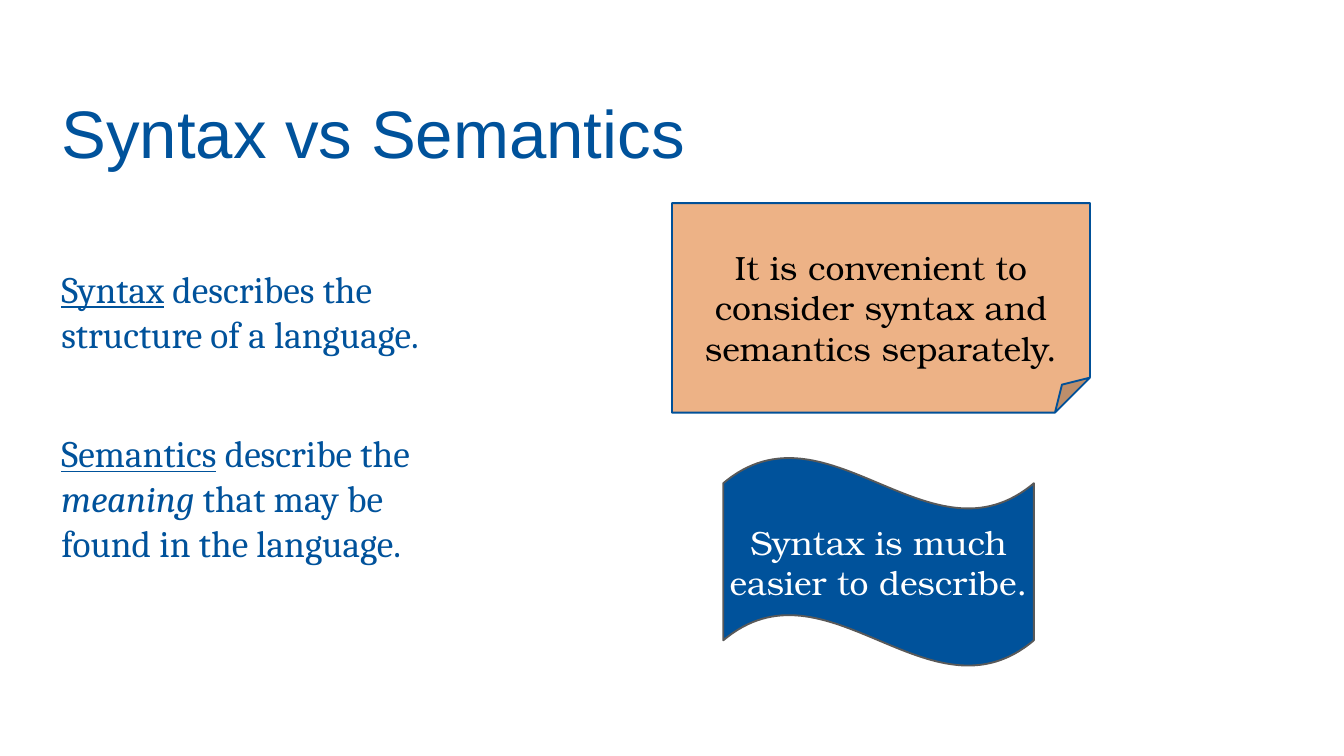
from pptx import Presentation
from pptx.dml.color import RGBColor
from pptx.enum.shapes import MSO_SHAPE
from pptx.enum.text import MSO_ANCHOR, PP_ALIGN
from pptx.util import Cm, Pt

BLUE = "00529B"


def colour(value):
    return RGBColor.from_string(value)


def set_frame(shape, margins, anchor):
    frame = shape.text_frame
    frame.word_wrap = True
    frame.vertical_anchor = anchor
    frame.margin_left, frame.margin_top, frame.margin_right, frame.margin_bottom = map(Cm, margins)
    return frame


def style(font, name, size, value):
    font.name = name
    font.size = Pt(size)
    font.color.rgb = colour(value)


def add_title(page, box, text):
    shape = page.shapes.add_textbox(*map(Cm, box))
    frame = set_frame(shape, (0.25, 0.28, 0.25, 0), MSO_ANCHOR.TOP)
    frame.text = text
    style(frame.paragraphs[0].runs[0].font, "Arial", 36, BLUE)


def add_definitions(page, box, definitions):
    shape = page.shapes.add_textbox(*map(Cm, box))
    frame = set_frame(shape, (0.25, 1.25, 0.76, 0), MSO_ANCHOR.TOP)
    for index, pieces in enumerate(definitions):
        para = frame.add_paragraph() if index else frame.paragraphs[0]
        if index:
            para.space_before = Pt(40)
        for text, emphasis in pieces:
            span = para.add_run()
            span.text = text
            style(span.font, "Cambria", 20, BLUE)
            span.font.underline = emphasis == "underline"
            span.font.italic = emphasis == "italic"


def add_callout(page, box, kind, text, margins, fill, line, ink):
    shape = page.shapes.add_shape(kind, *map(Cm, box))
    shape.shadow.inherit = False
    shape.fill.solid()
    shape.fill.fore_color.rgb = colour(fill)
    shape.line.color.rgb = colour(line)
    shape.line.width = Pt(1)
    frame = set_frame(shape, margins, MSO_ANCHOR.MIDDLE)
    frame.text = text
    para = frame.paragraphs[0]
    para.alignment = PP_ALIGN.CENTER
    style(para.runs[0].font, "TeX Gyre Bonum", 18, ink)


def main():
    deck = Presentation()
    deck.slide_width, deck.slide_height = Cm(25.4), Cm(14.29)
    page = deck.slides.add_slide(deck.slide_layouts[6])
    add_title(page, (0.91, 1.45, 23.04, 2.34), "Syntax vs Semantics")
    add_definitions(page, (0.91, 3.78, 8.31, 9.8), [
        [("Syntax", "underline"), (" describes the structure of a language.", None)],
        [("Semantics", "underline"), (" describe the ", None),
         ("meaning", "italic"), (" that may be found in the language.", None)],
    ])
    add_callout(page, (12.7, 3.84, 7.9, 3.96), MSO_SHAPE.FOLDED_CORNER,
                "It is convenient to consider syntax and semantics separately.",
                (0.25, 0.64, 0.25, 0), "EDB286", "005098", "000000")
    add_callout(page, (13.67, 8.64, 5.87, 3.96), MSO_SHAPE.WAVE,
                "Syntax is much easier to describe.",
                (0, 0, 0, 0), BLUE, "595959", "FFFFFF")
    deck.save("out.pptx")


if __name__ == "__main__":
    main()
